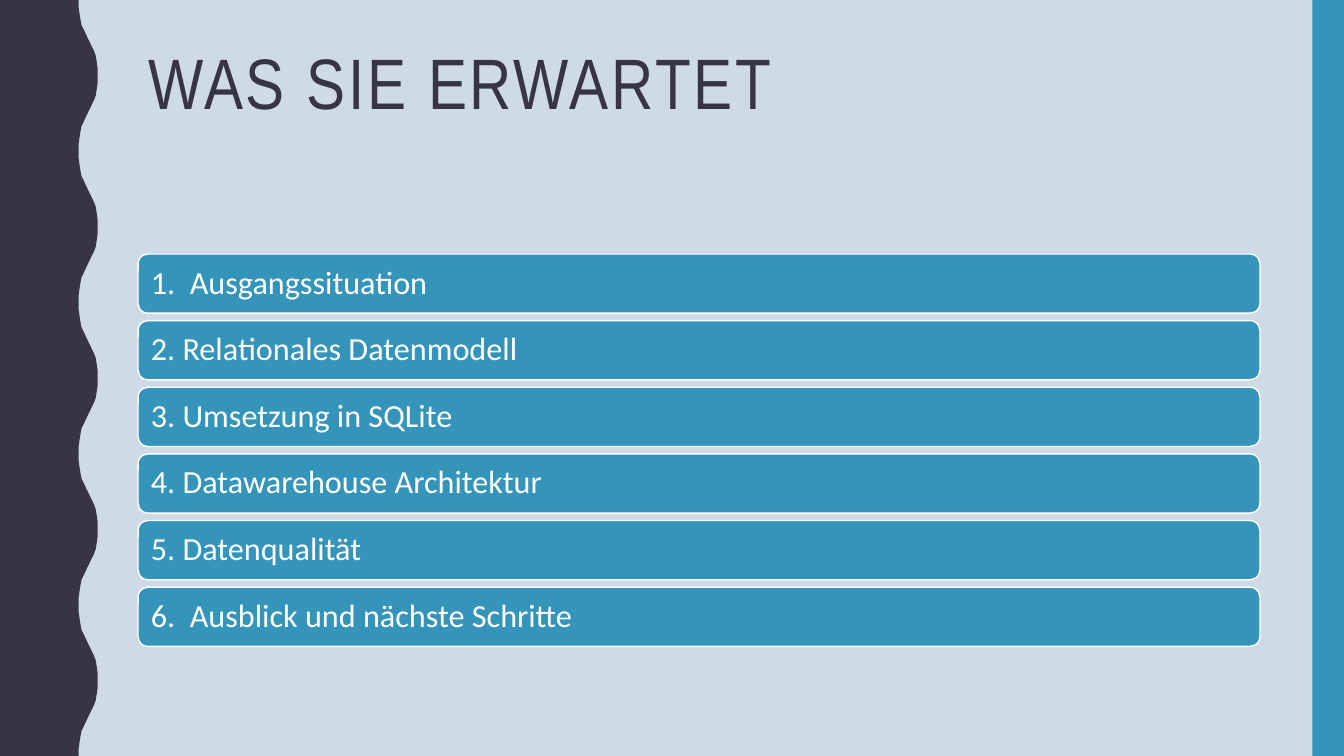
from pptx import Presentation
from pptx.dml.color import RGBColor
from pptx.enum.shapes import MSO_SHAPE
from pptx.enum.text import MSO_ANCHOR, MSO_AUTO_SIZE, PP_ALIGN
from pptx.util import Pt

RECT = MSO_SHAPE.RECTANGLE
ROUND = MSO_SHAPE.ROUNDED_RECTANGLE
TOP, MIDDLE = MSO_ANCHOR.TOP, MSO_ANCHOR.MIDDLE
LEFT = PP_ALIGN.LEFT
NO_FIT = MSO_AUTO_SIZE.NONE

WIDTH, HEIGHT = 960, 540
TITLE_ONLY = 5
COLORS = {"back": "CEDBE6", "dark": "373545", "blue": "3494BA", "white": "FFFFFF"}
TOPICS = [
    "1.  Ausgangssituation",
    "2. Relationales Datenmodell",
    "3. Umsetzung in SQLite",
    "4. Datawarehouse Architektur",
    "5. Datenqualität",
    "6.  Ausblick und nächste Schritte",
]
# Half a wave as (x, y), from trough to crest
WAVE = [
    (56.2, 0), (56.2, 5), (56.9, 10), (57.6, 14.4), (58.3, 18),
    (59.8, 21), (61.2, 24), (62.6, 27), (64.1, 30), (65.5, 33),
    (67, 36), (68.4, 39.6), (69.1, 44), (69.8, 49), (69.8, 54),
]
PERIOD = 108


class Deck:
    """Holds the colours, the fonts and the current slide."""

    def __init__(self, slide):
        self.slide = slide
        self.shapes = slide.shapes
        self.head, self.body = "Arial Narrow", "Calibri"
        self.paint(slide.background.fill, "back")

    def color(self, name):
        return RGBColor.from_string(COLORS[name])

    def paint(self, fill, name):
        fill.solid()
        fill.fore_color.rgb = self.color(name)

    def label(self, shape, text, face, size, color, anchor):
        frame = shape.text_frame
        frame.word_wrap = True
        frame.auto_size = NO_FIT
        frame.vertical_anchor = anchor
        frame.text = text
        para = frame.paragraphs[0]
        para.alignment = LEFT
        para.line_spacing = 0.9
        font = para.font
        font.name, font.size = face, Pt(size)
        font.color.rgb = self.color(color)
        return frame

    def title(self, text, left, top, width, height):
        shape = self.shapes.title
        shape.left, shape.top = Pt(left), Pt(top)
        shape.width, shape.height = Pt(width), Pt(height)
        frame = self.label(shape, text, self.head, 51, "dark", TOP)
        run = frame.paragraphs[0].runs[0]
        run._r.get_or_add_rPr().set("spc", "200")

    def box(self, kind, left, top, width, height, fill):
        shape = self.shapes.add_shape(kind, Pt(left), Pt(top), Pt(width), Pt(height))
        shape.shadow.inherit = False
        self.paint(shape.fill, fill)
        shape.line.fill.background()
        return shape

    def bar(self, text, left, top, width, height):
        shape = self.box(ROUND, left, top, width, height, "blue")
        self.paint(shape.line.fill, "white")
        shape.line.width = Pt(1)
        frame = self.label(shape, text, self.body, 23, "white", MIDDLE)
        frame.margin_left = frame.margin_right = Pt(7.2)
        frame.margin_top = frame.margin_bottom = Pt(0)

    def wave(self):
        """Draw the left band, its right edge made of equal waves."""
        back = [(x, PERIOD - y) for x, y in reversed(WAVE[:-1])]
        edge = [
            (x, start + y)
            for start in range(0, HEIGHT, PERIOD)
            for x, y in WAVE + back
        ]
        band = self.shapes.build_freeform(0, 0)
        band.add_line_segments([(Pt(x), Pt(y)) for x, y in edge + [(0, HEIGHT)]])
        shape = band.convert_to_shape()
        shape.shadow.inherit = False
        self.paint(shape.fill, "dark")
        shape.line.fill.background()


def main():
    show = Presentation()
    show.slide_width, show.slide_height = Pt(WIDTH), Pt(HEIGHT)
    deck = Deck(show.slides.add_slide(show.slide_layouts[TITLE_ONLY]))

    deck.wave()
    deck.box(RECT, 937.5, 0, 22.5, HEIGHT, "blue")

    left, width = 98.64, 801.36
    deck.title("WAS SIE ERWARTET", left, 30.24, width, 117.36)
    for index, topic in enumerate(TOPICS):
        deck.bar(topic, left, 181.44 + index * 47.6, width, 42.3)

    show.save("out.pptx")


if __name__ == "__main__":
    main()
